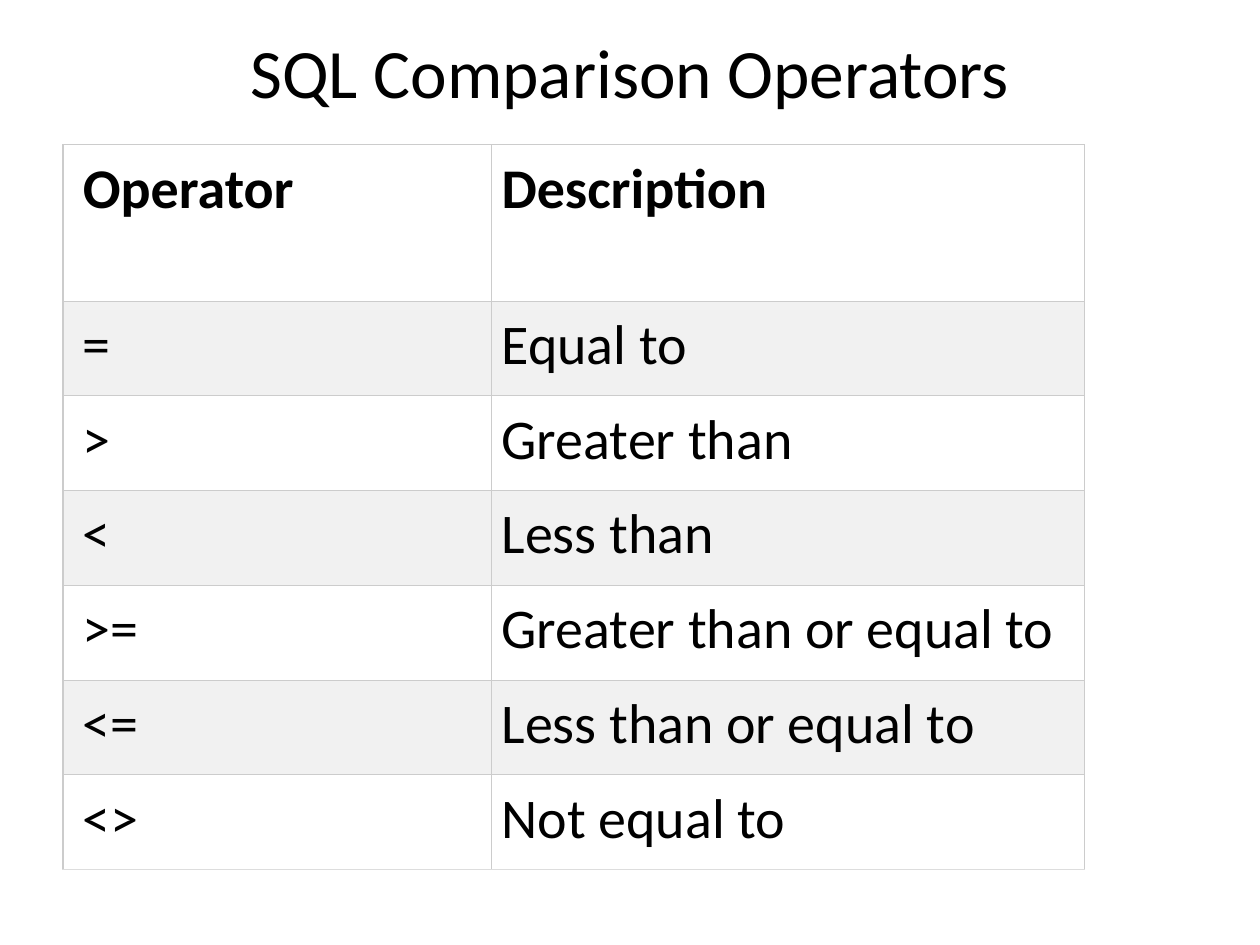
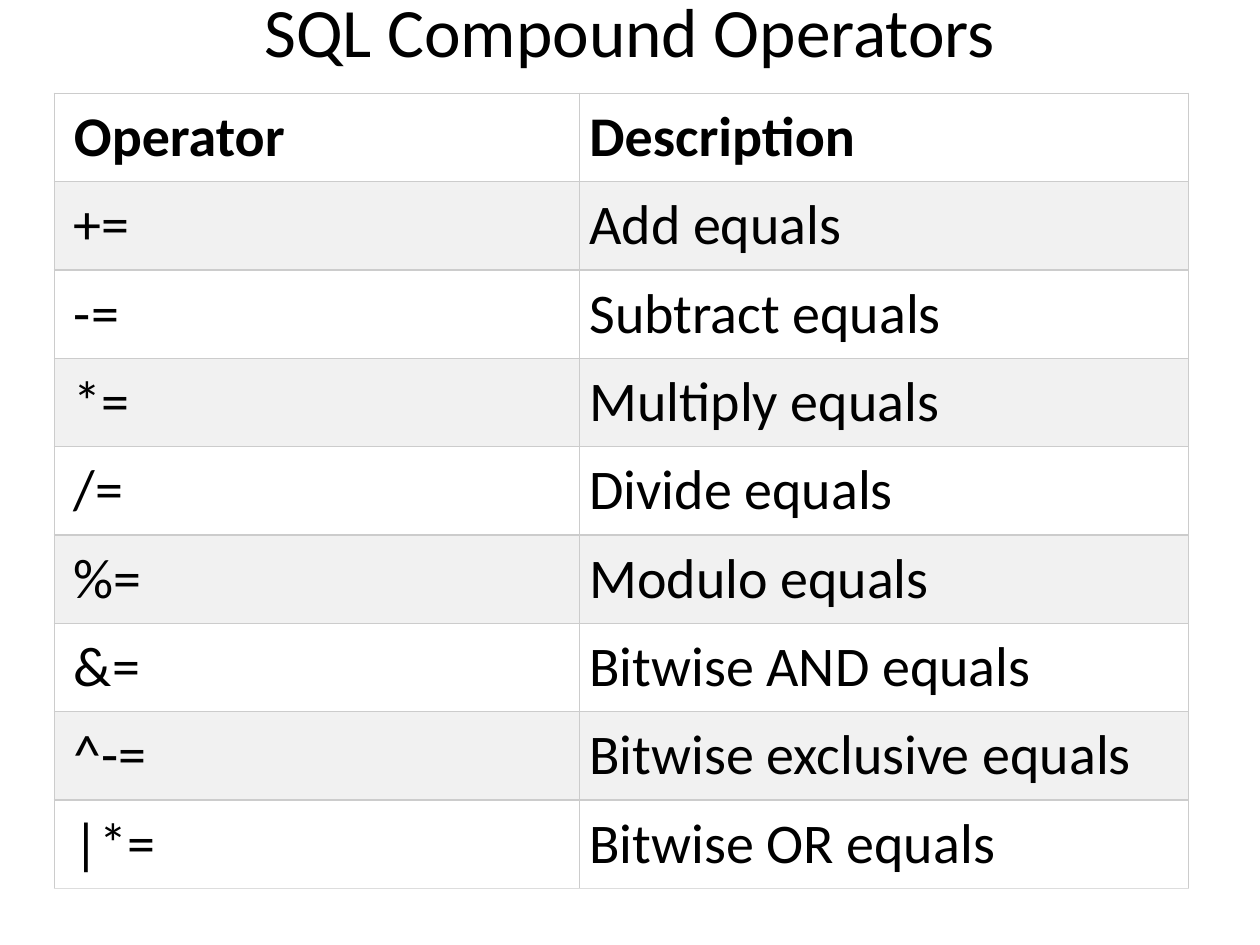
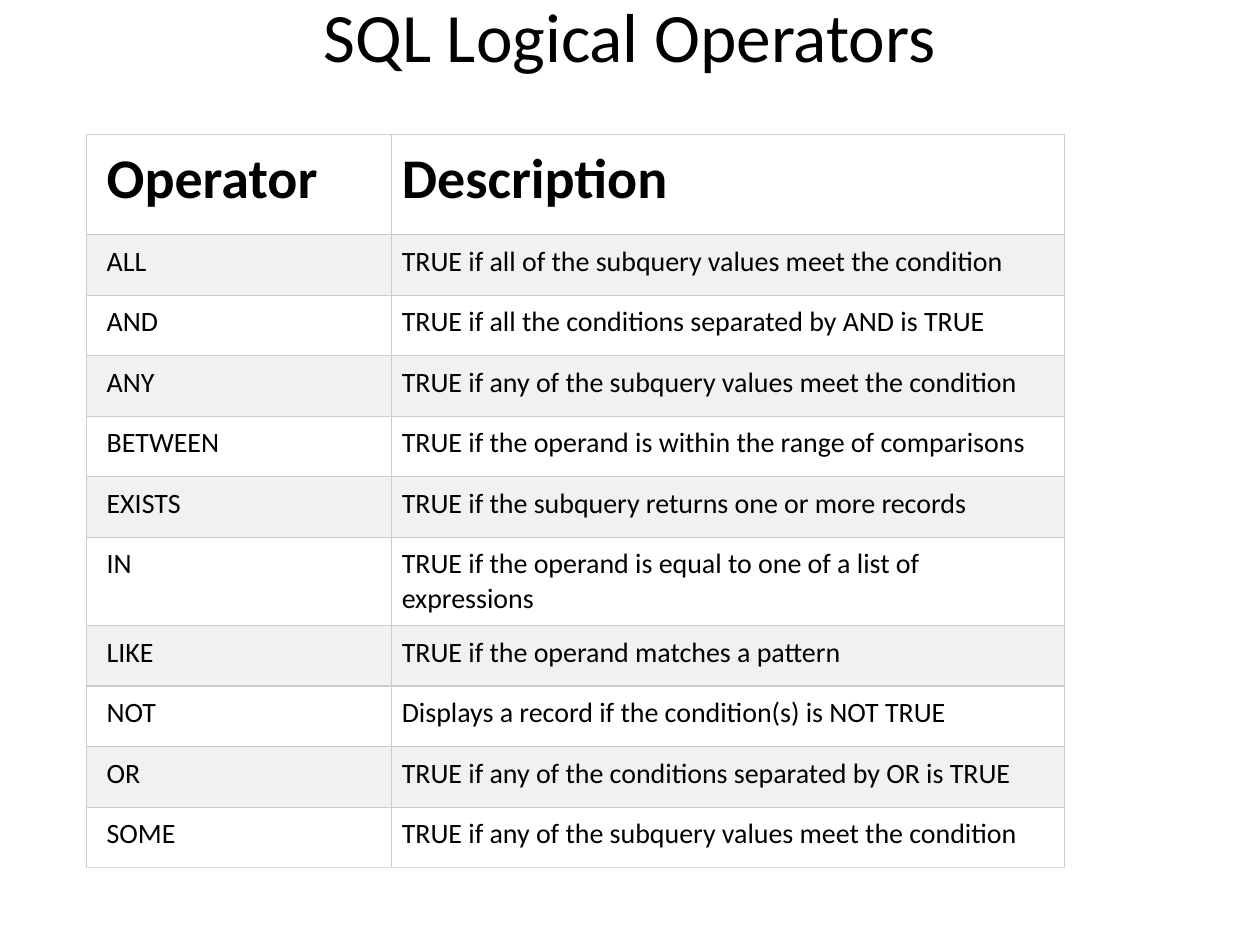
"""Three slides of SQL operator tables."""
from pptx import Presentation
from pptx.dml.color import RGBColor
from pptx.enum.text import MSO_ANCHOR as Anchor, MSO_AUTO_SIZE as AutoSize, PP_ALIGN as Align
from pptx.oxml.ns import qn
from pptx.util import Cm, Pt
from lxml.etree import SubElement

HEADINGS = ("Operator", "Description")
TITLE_ONLY = 5

COMPARISON = (
    ("=", "Equal to"),
    (">", "Greater than"),
    ("<", "Less than"),
    (">=", "Greater than or equal to"),
    ("<=", "Less than or equal to"),
    ("<>", "Not equal to"),
)
COMPOUND = (
    ("+=", "Add equals"),
    ("-=", "Subtract equals"),
    ("*=", "Multiply equals"),
    ("/=", "Divide equals"),
    ("%=", "Modulo equals"),
    ("&=", "Bitwise AND equals"),
    ("^-=", "Bitwise exclusive equals"),
    ("|*=", "Bitwise OR equals"),
)
LOGICAL = (
    ("ALL", "TRUE if all of the subquery values meet the condition"),
    ("AND", "TRUE if all the conditions separated by AND is TRUE"),
    ("ANY", "TRUE if any of the subquery values meet the condition"),
    ("BETWEEN", "TRUE if the operand is within the range of comparisons"),
    ("EXISTS", "TRUE if the subquery returns one or more records"),
    ("IN", "TRUE if the operand is equal to one of a list of expressions"),
    ("LIKE", "TRUE if the operand matches a pattern"),
    ("NOT", "Displays a record if the condition(s) is NOT TRUE"),
    ("OR", "TRUE if any of the conditions separated by OR is TRUE"),
    ("SOME", "TRUE if any of the subquery values meet the condition"),
)


def color(code):
    """Turn a hex string into a colour."""
    return RGBColor.from_string(code)


def apply(target, values):
    """Set every attribute named in a dict."""
    for name, value in values.items():
        setattr(target, name, value)


class OperatorDeck:
    """The shared style and the current slide."""

    font = "Calibri"
    ink = "000000"
    bands = ("FFFFFF", "F1F1F1")
    grid = "CCCCCC"
    last_edge = "DDDDDD"
    title_size = 39.6
    head_size = 32

    def __init__(self):
        """Open an empty 4:3 deck."""
        self.deck = Presentation()
        apply(self.deck, {"slide_width": Cm(25.4), "slide_height": Cm(19.05)})
        self.page = None

    def add_page(self):
        """Start a new slide."""
        self.page = self.deck.slides.add_slide(self.deck.slide_layouts[TITLE_ONLY])

    def style(self, para, size, bold=False):
        """Format the text of one paragraph."""
        for span in para.runs:
            apply(span.font, {"name": self.font, "size": Pt(size), "bold": bold})
            span.font.color.rgb = color(self.ink)

    def title(self, text, height):
        """Fill the title, whose line break lifts it in its box."""
        box = self.page.shapes.title
        apply(box, {"left": Cm(1.27), "top": Cm(0.76),
                    "width": Cm(22.86), "height": Cm(height)})
        frame = box.text_frame
        frame.text = text + "\v"
        apply(frame, {"auto_size": AutoSize.NONE, "word_wrap": True,
                      "vertical_anchor": Anchor.MIDDLE})
        para = frame.paragraphs[0]
        para.alignment = Align.CENTER
        self.style(para, self.title_size)

    def borders(self, cell, bottom):
        """Draw the four edges of a cell, before its fill."""
        props = cell._tc.get_or_add_tcPr()
        edges = {"lnL": self.grid, "lnR": self.grid, "lnT": self.grid, "lnB": bottom}
        for edge, code in edges.items():
            line = SubElement(props, qn(f"a:{edge}"), w=str(Pt(0.75)))
            SubElement(SubElement(line, qn("a:solidFill")), qn("a:srgbClr"), val=code)

    def table(self, entries, left, top, widths, head_height, row_height, size):
        """Add a banded table with a bold heading row."""
        rows = (HEADINGS, *entries)
        heights = [head_height] + [row_height] * len(entries)
        grid = self.page.shapes.add_table(
            len(rows), len(widths), Cm(left), Cm(top),
            Cm(sum(widths)), Cm(sum(heights))).table
        apply(grid, {"first_row": False, "horz_banding": False})
        for column, width in zip(grid.columns, widths):
            column.width = Cm(width)
        for number, (row, height, texts) in enumerate(zip(grid.rows, heights, rows)):
            row.height = Cm(height)
            is_head = number == 0
            bottom = self.last_edge if number == len(entries) else self.grid
            for place, (cell, text) in enumerate(zip(row.cells, texts)):
                cell.text = text
                apply(cell, {"margin_left": Cm(0.2 if place else 0.4),
                             "margin_right": Cm(0.2), "margin_top": Cm(0.2),
                             "margin_bottom": Cm(0.2), "vertical_anchor": Anchor.TOP})
                self.borders(cell, bottom)
                cell.fill.solid()
                cell.fill.fore_color.rgb = color(self.bands[number % 2])
                self.style(cell.text_frame.paragraphs[0],
                           self.head_size if is_head else size, is_head)


def build():
    """Build and save the three slides."""
    show = OperatorDeck()

    show.add_page()
    show.title("SQL Comparison Operators", 3.18)
    show.table(COMPARISON, 1.27, 2.92, (8.64, 11.96), 3.15, 1.91, 32)

    show.add_page()
    show.title("SQL Compound Operators", 1.55)
    show.table(COMPOUND, 1.09, 1.88, (10.59, 12.27), 1.76, 1.76, 32)

    show.add_page()
    show.title("SQL Logical Operators", 1.75)
    show.table(LOGICAL, 1.75, 2.72, (6.15, 13.56), 2.01, 1.22, 16)

    show.deck.save("out.pptx")


build()
